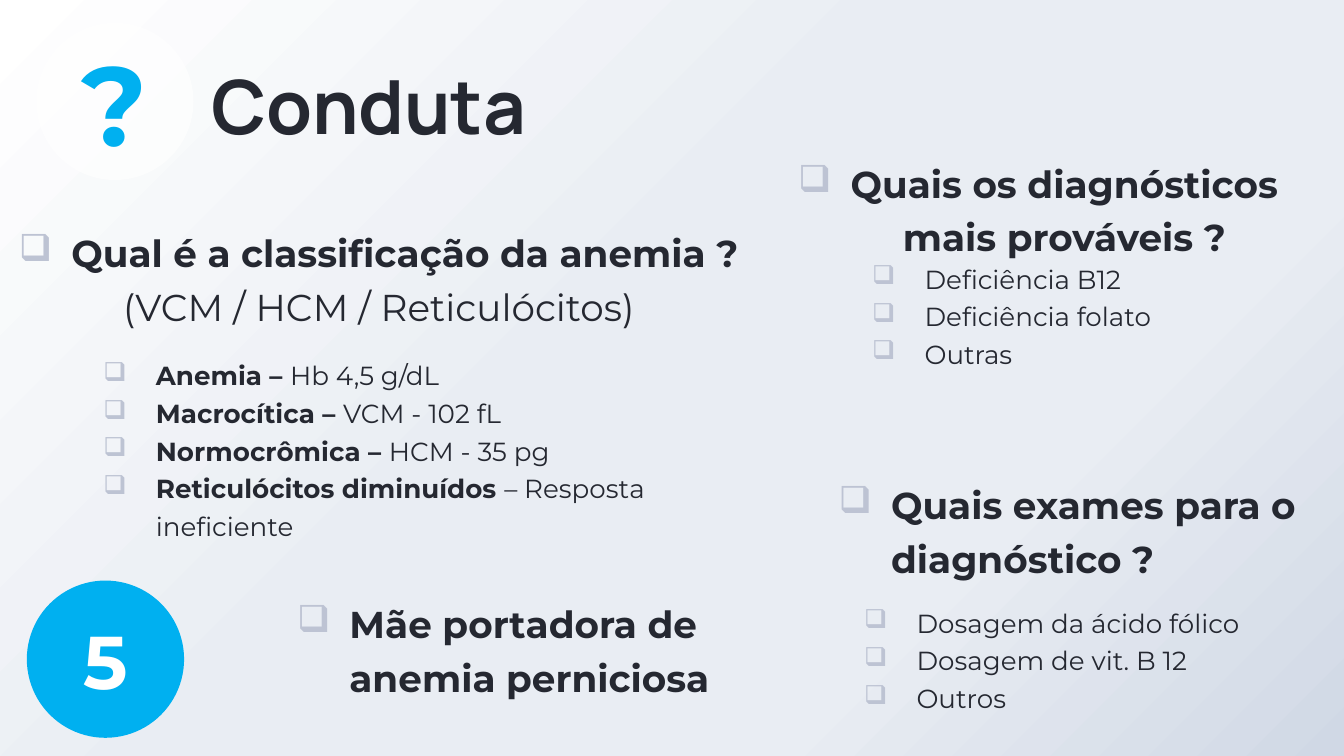
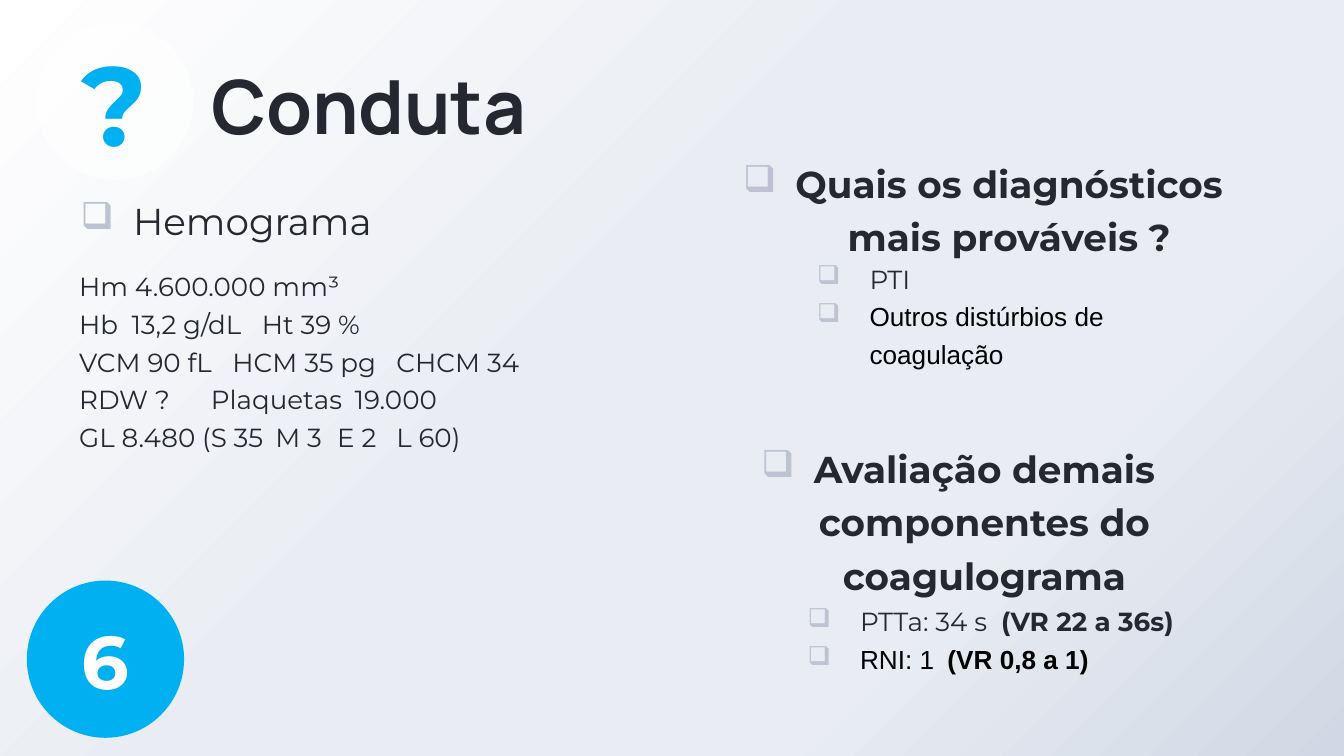
from lxml import etree
from pptx import Presentation
from pptx.dml.color import RGBColor
from pptx.enum.shapes import MSO_SHAPE
from pptx.enum.text import MSO_ANCHOR, PP_ALIGN
from pptx.oxml import parse_xml
from pptx.oxml.ns import nsdecls, qn
from pptx.util import Inches, Pt

CENTER, LEFT = PP_ALIGN.CENTER, PP_ALIGN.LEFT
TOP, MIDDLE, BOTTOM = MSO_ANCHOR.TOP, MSO_ANCHOR.MIDDLE, MSO_ANCHOR.BOTTOM
OVAL = MSO_SHAPE.OVAL

INK = RGBColor(0x25, 0x28, 0x31)
BLUE = RGBColor(0x00, 0xB0, 0xF0)
WHITE = RGBColor(0xFF, 0xFF, 0xFF)
BLACK = RGBColor(0x00, 0x00, 0x00)
BULLET_GREY = RGBColor(0xBD, 0xC3, 0xD3)
MIST = RGBColor(0xE9, 0xED, 0xF3)
STEEL = RGBColor(0xD0, 0xD8, 0xE5)
BACKGROUND_STOPS = [(0, WHITE), (44, MIST), (72, MIST), (100, STEEL)]

# Square grid: 100 columns across, 56.25 rows down
CELL = Inches(10) // 100
COLUMNS, ROWS = 100, 56.25
DISC = 11.7

BODY_FONT = {"name": "Montserrat", "color": INK, "bold": False}
BULLET_INDENT = (5, -3.9)

# Each style: alignment, line spacing, (margin, first line), bullet, font
STYLES = {
    "title": (LEFT, 1, (0, 0), False,
              {**BODY_FONT, "name": "Manrope", "size": Pt(40), "bold": True}),
    "number": (CENTER, 1, (0, 0), False,
               {**BODY_FONT, "size": Pt(40), "color": WHITE, "bold": True}),
    "question mark": (CENTER, 1, (0, 0), False,
                      {**BODY_FONT, "size": Pt(60), "color": BLUE, "bold": True}),
    "topic": (LEFT, 1.2, BULLET_INDENT, True, {**BODY_FONT, "size": Pt(20)}),
    "heading": (LEFT, 1.2, BULLET_INDENT, True,
                {**BODY_FONT, "size": Pt(20), "bold": True}),
    "centred heading": (CENTER, 1.2, BULLET_INDENT, True,
                        {**BODY_FONT, "size": Pt(20), "bold": True}),
    "subheading": (CENTER, 1.2, (1.1, 0), False, {**BODY_FONT, "size": Pt(20)}),
    "item": (LEFT, 1.2, BULLET_INDENT, True, {**BODY_FONT, "size": Pt(14)}),
    "result": (LEFT, 1.2, (0, 0), False, {**BODY_FONT, "size": Pt(14)}),
}
BOLD = {"bold": True}
FALLBACK = {"name": "Arial", "color": BLACK}
DIAGNOSES = ("centred heading", [("Quais os diagnósticos mais prováveis ?", {})], [])

# Each block: (left, top, width, height), inset, paragraphs
# Each paragraph: style, runs, tab stops
SLIDES = [
    ("5", [
        ((0, 16.5, 55.3, 8.7), (0, 0), [
            ("centred heading", [("Qual é a classificação da anemia ?", {})], []),
            ("subheading", [("(VCM / HCM / Reticulócitos)", {})], [])]),
        ((6.6, 26.3, 46.3, 13.6), (0, 0), [
            ("item", [(term, BOLD), (finding, {})], []) for term, finding in [
                ("Anemia – ", "Hb 4,5 g/dL"),
                ("Macrocítica – ", "VCM - 102 fL"),
                ("Normocrômica – ", "HCM - 35 pg"),
                ("Reticulócitos diminuídos ", "– Resposta ineficiente")]]),
        ((56.9, 11.3, 39.6, 8.7), (0, 0), [DIAGNOSES]),
        ((63.8, 19.1, 29.6, 8.7), (0, 0), [
            ("item", [(text, {})], [])
            for text in ("Deficiência B12", "Deficiência folato", "Outras")]),
        ((61.3, 35.2, 38.7, 8.7), (0, 0), [
            ("heading", [("Quais exames para o diagnóstico ?", {})], [])]),
        ((63.2, 44.7, 38, 11.6), (0, 0), [
            ("item", [(text, {})], [])
            for text in ("Dosagem da ácido fólico", "Dosagem de vit. B 12", "Outros")]),
        ((21, 44.1, 33.1, 8.7), (0, 0), [
            ("heading", [("Mãe portadora de anemia perniciosa", {})], [])]),
    ]),
    ("6", [
        ((4.9, 14.1, 31.6, 5.8), (0, 0), [("topic", [("Hemograma", {})], [])]),
        ((4.9, 19.2, 37.8, 14.7), (1, 0.5), [
            ("result", [(" \t".join(values), {})], stops) for values, stops in [
                (["Hm 4.600.000 mm³"], []),
                (["Hb", "13,2 g/dL", "Ht 39 %"], [3.9, 13.6]),
                (["VCM 90 fL", "HCM 35 pg", "CHCM 34"], [11.4, 23.6]),
                (["RDW ?", "Plaquetas", "19.000"], [9.8, 20.5]),
                (["GL 8.480 (S 35", "M 3", "E 2", "L 60)"], [14.6, 19.2, 23.6])]]),
        ((52.8, 11.3, 39.6, 8.7), (0, 0), [DIAGNOSES]),
        ((59.7, 19.1, 29.6, 8.7), (0, 0), [
            ("item", [("PTI", {})], []),
            ("item", [("Outros distúrbios de coagulação", FALLBACK)], [])]),
        ((50, 32.5, 41.5, 5.8), (0, 0), [
            ("centred heading",
             [("Avaliação demais componentes do coagulograma", {})], [])]),
        ((59, 44.6, 29.6, 11.7), (0, 0), [
            ("item", [("PTTa: 34 s\t", {}), ("(VR 22 a 36s)", BOLD)], [15.5]),
            ("item", [("RNI: 1\t", FALLBACK),
                      ("(VR 0,8 a 1)", {**FALLBACK, **BOLD})], [11.5])]),
    ]),
]


def grid(*cells):
    return [round(cell * CELL) for cell in cells]


def write(frame, paragraphs, anchor):
    """Fill a text frame with styled paragraphs, bullets and tab stops."""
    frame.word_wrap = True
    frame.vertical_anchor = anchor
    for index, (style, runs, stops) in enumerate(paragraphs):
        paragraph = frame.add_paragraph() if index else frame.paragraphs[0]
        alignment, spacing, indent, bullet, font_values = STYLES[style]
        properties = paragraph._p.get_or_add_pPr()
        # An explicit zero indent makes LibreOffice drop the tab stops
        for name, length in zip(("marL", "indent"), grid(*indent)):
            if length:
                properties.set(name, str(length))
        if bullet:
            color = etree.SubElement(properties, qn("a:buClr"))
            etree.SubElement(color, qn("a:srgbClr"), val=str(BULLET_GREY))
            etree.SubElement(properties, qn("a:buChar"), char="❑")
        if stops:
            tabs = etree.SubElement(properties, qn("a:tabLst"))
            for position in grid(*stops):
                etree.SubElement(tabs, qn("a:tab"), pos=str(position), algn="l")
        paragraph.alignment = alignment
        paragraph.line_spacing = spacing
        for text, changes in runs:
            run = paragraph.add_run()
            run.text = text
            for name, value in {**font_values, **changes}.items():
                if name == "color":
                    run.font.color.rgb = value
                else:
                    setattr(run.font, name, value)


presentation = Presentation()
presentation.slide_width, presentation.slide_height = grid(COLUMNS, ROWS)
gradient_stops = "".join(
    f'<a:gs pos="{position * 1000}"><a:srgbClr val="{color}"/></a:gs>'
    for position, color in BACKGROUND_STOPS)

for number, blocks in SLIDES:
    slide = presentation.slides.add_slide(presentation.slide_layouts[6])
    slide.element.cSld.insert(0, parse_xml(
        f'<p:bg {nsdecls("p", "a")}><p:bgPr><a:gradFill rotWithShape="1">'
        f'<a:gsLst>{gradient_stops}</a:gsLst><a:path path="circle">'
        '<a:fillToRect r="100000" b="100000"/></a:path></a:gradFill>'
        '<a:effectLst/></p:bgPr></p:bg>'))

    title = ((15.7, 4, 27.8, 7.1), (0, 0), [("title", [("Conduta", {})], [])])
    for area, inset, paragraphs in [title, *blocks]:
        frame = slide.shapes.add_textbox(*grid(*area)).text_frame
        frame.margin_left = frame.margin_right = grid(inset[0])[0]
        frame.margin_top = frame.margin_bottom = grid(inset[1])[0]
        write(frame, paragraphs, BOTTOM if paragraphs is title[2] else TOP)

    for left, top, style, text, color, opacity in [
            (2, 43.2, "number", number, BLUE, 100),
            (2.7, 1.7, "question mark", "?", WHITE, 69)]:
        disc = slide.shapes.add_shape(OVAL, *grid(left, top, DISC, DISC))
        disc.shadow.inherit = False
        disc.fill.solid()
        disc.fill.fore_color.rgb = color
        disc.line.fill.background()
        if opacity < 100:
            fill_color = disc.element.spPr.find(".//" + qn("a:srgbClr"))
            etree.SubElement(fill_color, qn("a:alpha"), val=str(opacity * 1000))
        write(disc.text_frame, [(style, [(text, {})], [])], MIDDLE)

presentation.save("out.pptx")
